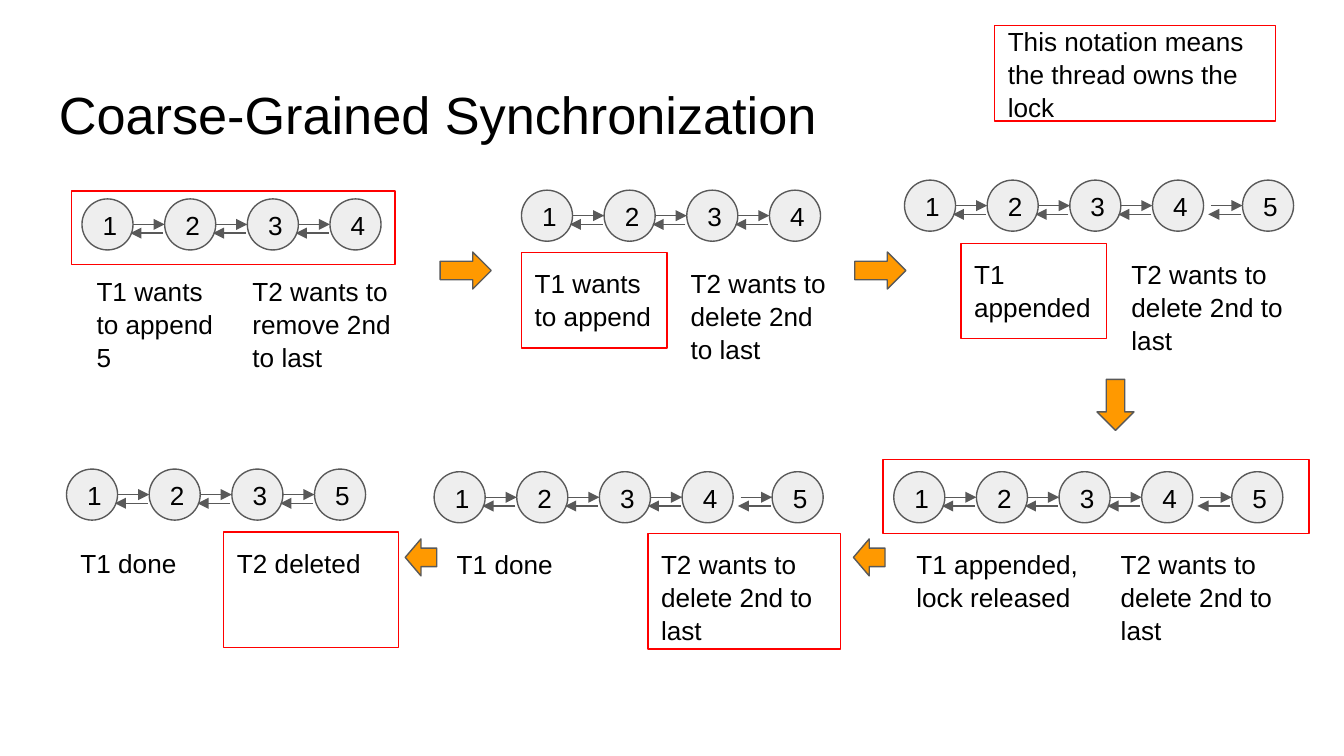
from dataclasses import dataclass

from lxml import etree
from pptx import Presentation
from pptx.dml.color import RGBColor
from pptx.enum.shapes import MSO_CONNECTOR, MSO_SHAPE
from pptx.enum.text import MSO_ANCHOR, PP_ALIGN
from pptx.oxml.ns import qn
from pptx.util import Emu, Pt

RECTANGLE, OVAL = MSO_SHAPE.RECTANGLE, MSO_SHAPE.OVAL
RIGHT_ARROW, LEFT_ARROW = MSO_SHAPE.RIGHT_ARROW, MSO_SHAPE.LEFT_ARROW
STRAIGHT = MSO_CONNECTOR.STRAIGHT
TOP, MIDDLE = MSO_ANCHOR.TOP, MSO_ANCHOR.MIDDLE
LEFT = PP_ALIGN.LEFT
EMU_PER_PX = 4572


@dataclass(frozen=True)
class Theme:
    ink: str = "000000"
    lock: str = "FF0000"
    outline: str = "595959"
    node: str = "EEEEEE"
    step: str = "FF9900"
    font: str = "Arial"
    title_size: int = 28
    body_size: int = 14
    line_width: float = 0.75
    line_spacing: float = 1.05


THEME = Theme()
NODE_SIZE, NODE_PITCH, FIFTH_GAP = 76, 123, 11
INSET = 20


def px(*lengths):
    return [Emu(length * EMU_PER_PX) for length in lengths]


def write(frame, text, size=THEME.body_size, anchor=TOP):
    frame.word_wrap = True
    frame.vertical_anchor = anchor
    frame.margin_left, frame.margin_top, frame.margin_right, frame.margin_bottom = px(*[INSET] * 4)
    frame.text = text
    paragraph = frame.paragraphs[0]
    paragraph.alignment = LEFT
    paragraph.line_spacing = THEME.line_spacing
    font = paragraph.runs[0].font
    font.name, font.size = THEME.font, Pt(size)
    font.color.rgb = RGBColor.from_string(THEME.ink)


def add_outlined(slide, kind, box, line, fill=None):
    shape = slide.shapes.add_shape(kind, *px(*box))
    shape.shadow.inherit = False
    if fill:
        shape.fill.solid()
        shape.fill.fore_color.rgb = RGBColor.from_string(fill)
    else:
        shape.fill.background()
    shape.line.color.rgb = RGBColor.from_string(line)
    shape.line.width = Pt(THEME.line_width)
    return shape


def add_text(slide, box, text, size=THEME.body_size):
    write(slide.shapes.add_textbox(*px(*box)).text_frame, text, size)


def add_locked(slide, box, text=None, anchor=TOP):
    shape = add_outlined(slide, RECTANGLE, box, THEME.lock)
    if text:
        write(shape.text_frame, text, anchor=anchor)


def add_link(slide, start, end):
    link = slide.shapes.add_connector(STRAIGHT, *px(*start, *end))
    link.line.color.rgb = RGBColor.from_string(THEME.outline)
    link.line.width = Pt(THEME.line_width)
    etree.SubElement(link.line._get_or_add_ln(), qn("a:tailEnd"), type="triangle")
    etree.SubElement(link._element.spPr, qn("a:effectLst"))


def add_chain(slide, left, top, values):
    middle = top + NODE_SIZE // 2
    for index, value in enumerate(values):
        x = left + index * NODE_PITCH + (FIFTH_GAP if index == 4 else 0)
        node = add_outlined(slide, OVAL, (x, top, NODE_SIZE, NODE_SIZE), THEME.outline, THEME.node)
        write(node.text_frame, value, anchor=MIDDLE)
        if index:
            add_link(slide, (x - 47, middle), (x, middle))
            add_link(slide, (x - 2, middle + 13), (x - 51, middle + 13))


def add_state(slide, left, top, values, notes_top, notes, lock=None):
    if lock:
        dx, dy, width, height = lock
        add_locked(slide, (left + dx, top + dy, width, height))
    add_chain(slide, left, top, values)
    for text, dx, width, height, owns_lock in notes:
        add_note = add_locked if owns_lock else add_text
        add_note(slide, (left + dx, top + notes_top, width, height), text)


def add_step(slide, kind, box, rotation=0):
    arrow = add_outlined(slide, kind, box, THEME.outline, THEME.step)
    arrow.rotation = rotation


DELETE = "T2 wants to delete 2nd to last"
STATES = [
    (122, 296, "1234", 92,
     [("T1 wants to append 5", 2, 217, 142, False),
      ("T2 wants to remove 2nd to last", 234, 287, 142, False)], (-16, -12, 482, 110)),
    (776, 283, "1234", 93,
     [("T1 wants to append", 0, 217, 142, True), (DELETE, 232, 260, 142, False)]),
    (1346, 268, "12345", 94,
     [("T1 appended", 84, 217, 142, True), (DELETE, 318, 287, 142, False)]),
    (1330, 702, "12345", 92,
     [("T1 appended, lock released", 14, 287, 142, False),
      (DELETE, 318, 287, 142, False)], (-16, -18, 634, 110)),
    (646, 702, "12345", 92,
     [("T1 done", 14, 287, 142, False), (DELETE, 318, 287, 172, True)]),
    (99, 698, "1235", 94,
     [("T1 done", 1, 217, 142, False), ("T2 deleted", 234, 260, 172, True)]),
]
STEPS = [
    (RIGHT_ARROW, (655, 375, 76, 55)),
    (RIGHT_ARROW, (1272, 375, 76, 55)),
    (RIGHT_ARROW, (1622, 575, 76, 55), 90),
    (LEFT_ARROW, (1270, 802, 47, 55)),
    (LEFT_ARROW, (603, 802, 47, 55)),
]


def main():
    presentation = Presentation()
    presentation.slide_width, presentation.slide_height = px(2000, 1125)
    slide = presentation.slides.add_slide(presentation.slide_layouts[6])
    add_text(slide, (68, 98, 1864, 126), "Coarse-Grained Synchronization", THEME.title_size)
    for state in STATES:
        add_state(slide, *state)
    for step in STEPS:
        add_step(slide, *step)
    add_locked(slide, (1480, 38, 418, 142), "This notation means the thread owns the lock", MIDDLE)
    presentation.save("out.pptx")


if __name__ == "__main__":
    main()
